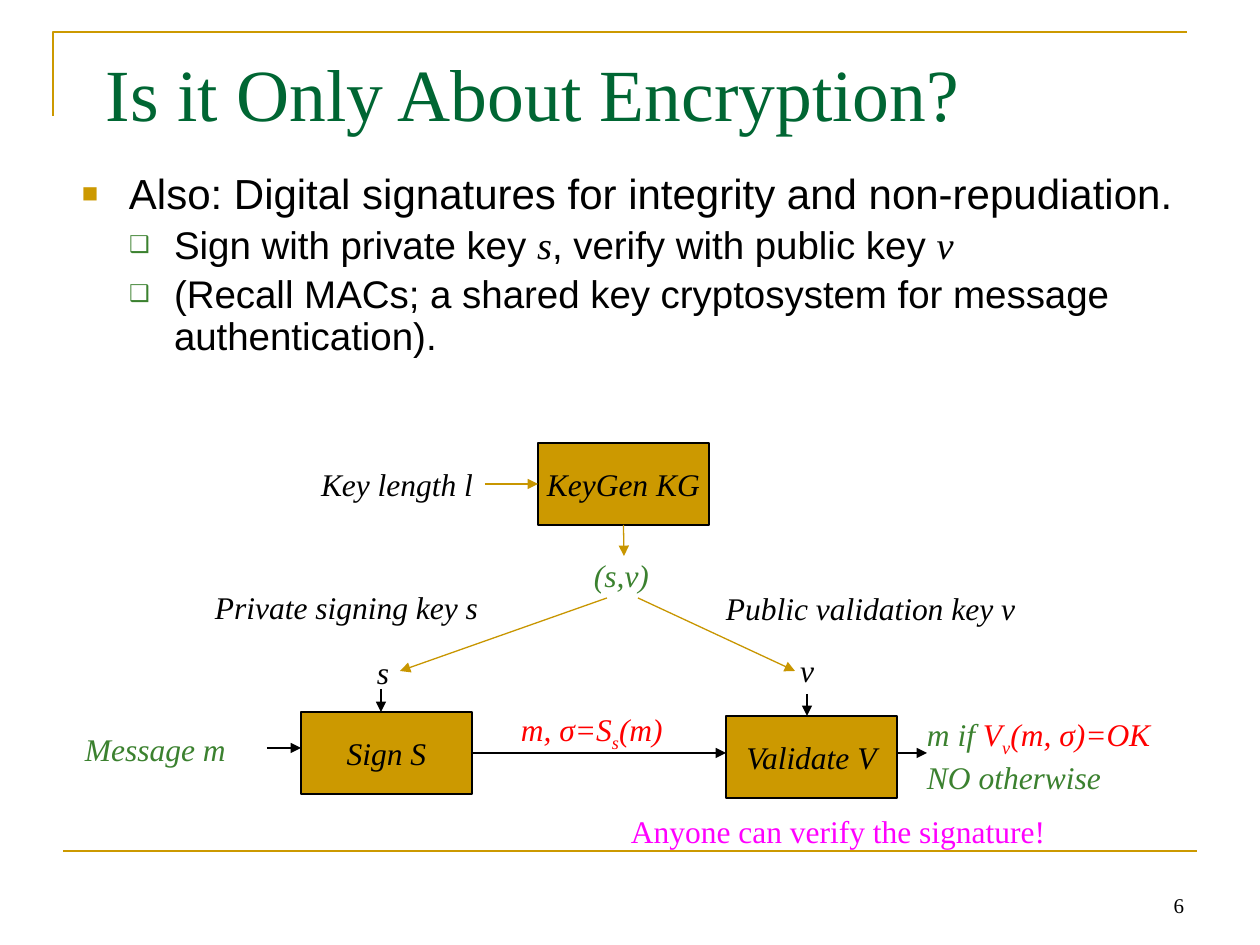
from lxml import etree
from pptx import Presentation, util as u
from pptx.dml.color import RGBColor
from pptx.enum import shapes, text
from pptx.oxml.ns import qn

PX = u.Inches(1) / 126
SERIF, SANS = "Times New Roman", "Arial"
BLACK, GOLD, ARROW_GOLD = "000000", "CC9900", "C89600"
GREEN, TITLE_GREEN, RED, MAGENTA = "3B812F", "006633", "FF0000", "FF00FF"
BOX_W, BOX_H, LABEL_H = 171, 82, 48
LABEL_INSETS = (9, 5, 9, 5)


def px(*lengths):
    return [u.Emu(round(length * PX)) for length in lengths]


def rgb(value):
    return RGBColor.from_string(value)


def add_run(paragraph, words, color=BLACK, base=None, **font_format):
    run = paragraph.add_run()
    run.text = words
    for name, value in font_format.items():
        setattr(run.font, name, value)
    run.font.color.rgb = rgb(color)
    if base:
        run.font._element.set("baseline", str(base))


def set_frame(frame, insets, **frame_format):
    sides = ("margin_left", "margin_top", "margin_right", "margin_bottom")
    for name, value in {**dict(zip(sides, px(*insets))), **frame_format}.items():
        setattr(frame, name, value)


def add_text(slide, place, lines, size=18, italic=True, wrap=True,
             insets=LABEL_INSETS, anchor=text.MSO_ANCHOR.TOP, align=None):
    """Each line is a list of (words, format) runs."""
    frame = slide.shapes.add_textbox(*px(*place)).text_frame
    set_frame(frame, insets, word_wrap=wrap, vertical_anchor=anchor)
    for index, runs in enumerate(lines):
        paragraph = frame.add_paragraph() if index else frame.paragraphs[0]
        paragraph.alignment = align
        for words, run_format in runs:
            add_run(paragraph, words, **{"size": u.Pt(size), "name": SERIF,
                                         "italic": italic, **run_format})


def add_bullet(paragraph, char, color, percent, left, hang):
    props = paragraph._p.get_or_add_pPr()
    props.set("marL", str(px(left)[0]))
    props.set("indent", str(-px(hang)[0]))
    bullet_color = etree.SubElement(props, qn("a:buClr"))
    etree.SubElement(bullet_color, qn("a:srgbClr"), val=color)
    etree.SubElement(props, qn("a:buSzPct"), val=str(percent * 1000))
    etree.SubElement(props, qn("a:buFont"), typeface=SANS)
    etree.SubElement(props, qn("a:buChar"), char=char)


def add_body(slide, place, items):
    """Each item is (level, list of (words, is_symbol))."""
    levels = [
        {"size": 24, "bullet": ("■", GOLD, 65, 47, 47)},
        {"size": 22, "bullet": ("❑", GREEN, 60, 92, 45)},
    ]
    frame = slide.shapes.add_textbox(*px(*place)).text_frame
    set_frame(frame, (13, 10, 13, 6), word_wrap=True)
    for index, (level, runs) in enumerate(items):
        paragraph = frame.add_paragraph() if index else frame.paragraphs[0]
        style = levels[level]
        add_bullet(paragraph, *style["bullet"])
        paragraph.level = level
        paragraph.line_spacing = 0.9
        paragraph.space_before = u.Pt(style["size"] * 0.2 if index else 0)
        for words, is_symbol in runs:
            add_run(paragraph, words, size=u.Pt(style["size"]),
                    name=SERIF if is_symbol else SANS, italic=is_symbol)


def add_box(slide, left, top, words):
    box = slide.shapes.add_shape(shapes.MSO_SHAPE.RECTANGLE,
                                 *px(left, top, BOX_W, BOX_H))
    box.shadow.inherit = False
    box.fill.solid()
    box.fill.fore_color.rgb = rgb(GOLD)
    box.line.color.rgb = rgb(BLACK)
    box.line.width = u.Pt(0.75)
    set_frame(box.text_frame, LABEL_INSETS, word_wrap=False,
              vertical_anchor=text.MSO_ANCHOR.MIDDLE)
    paragraph = box.text_frame.paragraphs[0]
    paragraph.alignment = text.PP_ALIGN.CENTER
    add_run(paragraph, words, size=u.Pt(18), name=SERIF, italic=True)
    return box


def add_line(slide, ends, color=BLACK, width=0.75, arrow=True,
             begin=None, end=None):
    """begin and end are (box, side) joints."""
    line = slide.shapes.add_connector(shapes.MSO_CONNECTOR.STRAIGHT, *px(*ends))
    line.line.color.rgb = rgb(color)
    line.line.width = u.Pt(width)
    if arrow:
        etree.SubElement(line.line._get_or_add_ln(), qn("a:tailEnd"),
                         type="triangle")
    etree.SubElement(line._element.spPr, qn("a:effectLst"))
    if begin:
        line.begin_connect(*begin)
    if end:
        line.end_connect(*end)


def add_corner_rule(slide):
    builder = slide.shapes.build_freeform(53, 116, scale=PX)
    builder.add_line_segments([(53, 32), (1187, 32)], close=False)
    rule = builder.convert_to_shape()
    rule.shadow.inherit = False
    rule.fill.background()
    rule.line.color.rgb = rgb(GOLD)
    rule.line.width = u.Pt(1.5)


def add_diagram(slide):
    # Boxes
    sign = add_box(slide, 301, 712, "Sign S")
    add_box(slide, 726, 716, "Validate V")
    keygen = add_box(slide, 538, 443, "KeyGen KG")

    # Key generation and distribution
    add_line(slide, (485, 484, 538, 484), ARROW_GOLD, end=(keygen, 1))
    add_line(slide, (624, 525, 624, 556), ARROW_GOLD, begin=(keygen, 2))
    add_line(slide, (607, 598, 400, 671), ARROW_GOLD)
    add_line(slide, (638, 598, 795, 671), ARROW_GOLD)

    # Message flow
    add_line(slide, (381, 689, 381, 712))
    add_line(slide, (807, 694, 807, 716))
    add_line(slide, (267, 748, 301, 748))
    add_line(slide, (472, 753, 726, 753), begin=(sign, 3))
    add_line(slide, (896, 753, 927, 753))

    # One-colour labels: left, top, width, words, colour, wrap
    labels = [
        (312, 460, 173, "Key length l", BLACK, False),
        (585, 551, 74, "(s,v)", GREEN, False),
        (206, 583, 285, "Private signing key s", BLACK, True),
        (717, 584, 367, "Public validation key v", BLACK, True),
        (368, 648, 31, "s", BLACK, False),
        (791, 646, 33, "v", BLACK, False),
        (76, 725, 197, "Message m", GREEN, True),
    ]
    for left, top, width, words, color, wrap in labels:
        add_text(slide, (left, top, width, LABEL_H),
                 [[(words, {"color": color})]], wrap=wrap)

    # Formulas
    red, red_sub = {"color": RED}, {"color": RED, "base": -25000}
    green = {"color": GREEN}
    add_text(slide, (512, 705, 163, LABEL_H),
             [[("m, σ=S", red), ("s", red_sub), ("(m)", red)]], wrap=False)
    add_text(slide, (918, 710, 246, 86),
             [[("m if ", green), ("V", red), ("v", red_sub),
               ("(m, σ)=OK", red)],
              [("NO otherwise", green)]], wrap=False)

    # Remark
    add_text(slide, (622, 807, 478, LABEL_H),
             [[("Anyone can verify the signature!", {"color": MAGENTA})]],
             italic=False)


def main():
    deck = Presentation()
    deck.slide_width, deck.slide_height = px(1260, 945)
    slide = deck.slides.add_slide(deck.slide_layouts[6])

    # Frame rules and page number
    add_corner_rule(slide)
    add_line(slide, (63, 851, 1197, 851), GOLD, 1.5, arrow=False)
    add_text(slide, (903, 861, 294, 63), [[("6", {})]], size=12, italic=False,
             insets=(13, 6, 13, 6), anchor=text.MSO_ANCHOR.BOTTOM,
             align=text.PP_ALIGN.RIGHT)

    # Title and body
    add_text(slide, (93, 33, 1071, 157),
             [[("Is it Only About Encryption?", {"color": TITLE_GREEN})]],
             size=42, italic=False, insets=(13, 15, 13, 6))
    add_body(slide, (69, 163, 1128, 263), [
        (0, [("Also: Digital signatures for integrity and non-repudiation.", False)]),
        (1, [("Sign with private key ", False), ("s", True),
             (", verify with public key ", False), ("v", True)]),
        (1, [("(Recall MACs; a shared key cryptosystem for message "
              "authentication).", False)]),
    ])
    add_diagram(slide)
    deck.save("out.pptx")


if __name__ == "__main__":
    main()
